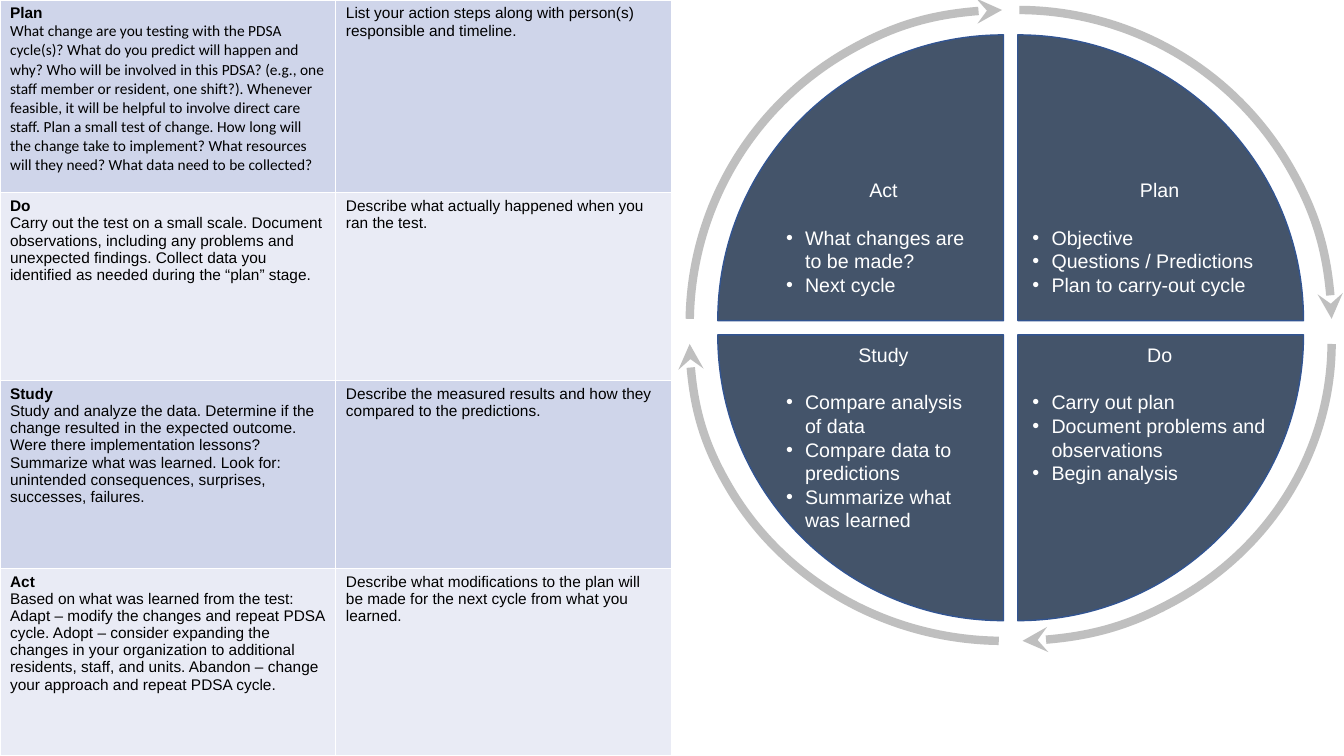
from dataclasses import dataclass

from lxml import etree
from pptx import Presentation
from pptx.dml.color import RGBColor
from pptx.enum.shapes import MSO_SHAPE
from pptx.enum.text import MSO_AUTO_SIZE, PP_ALIGN
from pptx.oxml.ns import qn
from pptx.util import Cm, Pt

ARC = MSO_SHAPE.ARC
CENTER = PP_ALIGN.CENTER
GROW = MSO_AUTO_SIZE.SHAPE_TO_FIT_TEXT
BEND = 0.5523


@dataclass(frozen=True)
class Theme:
    navy: RGBColor = RGBColor.from_string("44546A")
    edge: RGBColor = RGBColor.from_string("325491")
    gray: RGBColor = RGBColor.from_string("BFBFBF")
    white: RGBColor = RGBColor.from_string("FFFFFF")
    black: RGBColor = RGBColor.from_string("000000")
    bands: tuple = (RGBColor.from_string("CFD5EA"), RGBColor.from_string("E9EBF5"))
    sans: str = "Arial"
    body: str = "Calibri"
    cell: Pt = Pt(11)
    label: Pt = Pt(14)


THEME = Theme()

ROWS = [
    ("Plan",
     "What change are you testing with the PDSA cycle(s)? What do you predict will "
     "happen and why? Who will be involved in this PDSA? (e.g., one staff member or "
     "resident, one shift?). Whenever feasible, it will be helpful to involve direct "
     "care staff. Plan a small test of change. How long will the change take to "
     "implement? What resources will they need? What data need to be collected?",
     "List your action steps along with person(s) responsible and timeline.",
     THEME.body),
    ("Do",
     "Carry out the test on a small scale. Document observations, including any "
     "problems and unexpected findings. Collect data you identified as needed during "
     "the “plan” stage.",
     "Describe what actually happened when you ran the test.",
     THEME.sans),
    ("Study",
     "Study and analyze the data. Determine if the change resulted in the expected "
     "outcome. Were there implementation lessons? Summarize what was learned. Look "
     "for: unintended consequences, surprises, successes, failures.",
     "Describe the measured results and how they compared to the predictions.",
     THEME.sans),
    ("Act",
     "Based on what was learned from the test: Adapt – modify the changes and repeat "
     "PDSA cycle. Adopt – consider expanding the changes in your organization to "
     "additional residents, staff, and units. Abandon – change your approach and "
     "repeat PDSA cycle.",
     "Describe what modifications to the plan will be made for the next cycle from "
     "what you learned.",
     THEME.sans),
]

STAGES = [
    (-1, -1, 180, "Act", ["What changes are to be made?", "Next cycle"]),
    (1, -1, 270, "Plan",
     ["Objective", "Questions / Predictions", "Plan to carry-out cycle"]),
    (-1, 1, 90, "Study",
     ["Compare analysis of data", "Compare data to predictions",
      "Summarize what was learned"]),
    (1, 1, 0, "Do",
     ["Carry out plan", "Document problems and observations", "Begin analysis"]),
]


def style(para, size, color):
    font = para.font
    font.size, font.name = size, THEME.sans
    font.color.rgb = color


def round_rim(wedge):
    side, rim = wedge._element.findall(".//" + qn("a:lnTo"))
    (ax, ay), (bx, by) = [
        (int(line[0].get("x")), int(line[0].get("y"))) for line in (side, rim)]
    rim.tag = qn("a:cubicBezTo")
    pulls = [(ax, ay + BEND * (by - ay)), (bx + BEND * (ax - bx), by)]
    for i, (x, y) in enumerate(pulls):
        rim.insert(i, etree.Element(qn("a:pt"), x=str(round(x)), y=str(round(y))))


def add_wedge(slide, x, y, dx, dy, size):
    pen = slide.shapes.build_freeform(Cm(x), Cm(y))
    ends = [(Cm(x + dx * size), Cm(y)), (Cm(x), Cm(y + dy * size))]
    pen.add_line_segments(ends, close=True)
    wedge = pen.convert_to_shape()
    round_rim(wedge)
    wedge.shadow.inherit = False
    wedge.fill.solid()
    wedge.fill.fore_color.rgb = THEME.navy
    wedge.line.color.rgb = THEME.edge
    wedge.line.width = Pt(1)


def add_arrow(slide, x, y, dx, dy, turn):
    wide, high = 15.82, 15.82 if dy < 0 else 15.04
    if turn == 90:
        wide, high = high, wide
    y += 0.08 if dy < 0 else 0.19
    arc = slide.shapes.add_shape(
        ARC, Cm(x - wide / 2), Cm(y - high / 2), Cm(wide), Cm(high))
    arc.rotation = turn
    near, far = 0.55, 53.83
    if dx > 0:
        near, far = 54 - far, 54 - near
    arc.adjustments[0], arc.adjustments[1] = near, far
    arc.shadow.inherit = False
    arc.fill.background()
    arc.line.color.rgb = THEME.gray
    arc.line.width = Pt(6)
    etree.SubElement(arc.line._get_or_add_ln(), qn("a:tailEnd"), type="stealth")


def add_notes(slide, x, y, wide, high, title, items):
    frame = slide.shapes.add_textbox(Cm(x), Cm(y), Cm(wide), Cm(high)).text_frame
    frame.word_wrap = True
    frame.auto_size = GROW
    head = frame.paragraphs[0]
    head.text = title
    head.alignment = CENTER
    head.space_after = Pt(17)
    style(head, THEME.label, THEME.white)
    for item in items:
        para = frame.add_paragraph()
        para.text = item
        style(para, THEME.label, THEME.white)
        props = para._p.get_or_add_pPr()
        props.set("marL", str(Cm(0.48)))
        props.set("indent", str(-Cm(0.48)))
        props.insert(0, etree.Element(qn("a:buFont"), typeface=THEME.sans))
        props.insert(1, etree.Element(qn("a:buChar"), char="•"))


def add_wheel(slide, left, top, size, gap):
    wedge = (size - gap) / 2
    for dx, dy, turn, title, items in STAGES:
        x = left + size / 2 + dx * gap / 2
        y = top + size / 2 + dy * gap / 2
        add_wedge(slide, x, y, dx, dy, wedge)
        add_arrow(slide, x, y, dx, dy, turn)
        note_x, wide = (x + 0.12, 6.91) if dx > 0 else (x - 5.73, 5.41)
        note_y, high = (y + 0.08, 4.4) if dy > 0 else (y - 3.71, 3.2)
        add_notes(slide, note_x, note_y, wide, high, title, items)


def edge_cell(cell):
    props = cell._tc.get_or_add_tcPr()
    for i, side in enumerate(("lnL", "lnR", "lnT", "lnB")):
        line = etree.Element(qn("a:" + side), w=str(Pt(1)))
        fill = etree.SubElement(line, qn("a:solidFill"))
        etree.SubElement(fill, qn("a:srgbClr"), val=str(THEME.white))
        props.insert(i, line)


def add_grid(slide, left, top, wide, high):
    grid = slide.shapes.add_table(
        len(ROWS), 2, Cm(left), Cm(top), Cm(wide), Cm(high)).table
    grid.first_row = grid.horz_banding = False
    first = 4.86
    for i, (title, text, task, face) in enumerate(ROWS):
        grid.rows[i].height = Cm((high - first) / 3 if i else first)
        for j, lines in enumerate(([title, text], [task])):
            cell = grid.cell(i, j)
            cell.fill.solid()
            cell.fill.fore_color.rgb = THEME.bands[i % 2]
            edge_cell(cell)
            cell.text = "\n".join(lines)
            for para in cell.text_frame.paragraphs:
                style(para, THEME.cell, THEME.black)
        head, body = grid.cell(i, 0).text_frame.paragraphs
        head.font.bold = True
        body.font.name = face


def main():
    deck = Presentation()
    deck.slide_width, deck.slide_height = Cm(33.87), Cm(19.05)
    slide = deck.slides.add_slide(deck.slide_layouts[6])
    add_wheel(slide, 18.09, 0.88, 14.76, 0.36)
    add_grid(slide, 0, 0, 16.93, 19.05)
    deck.save("out.pptx")


if __name__ == "__main__":
    main()
